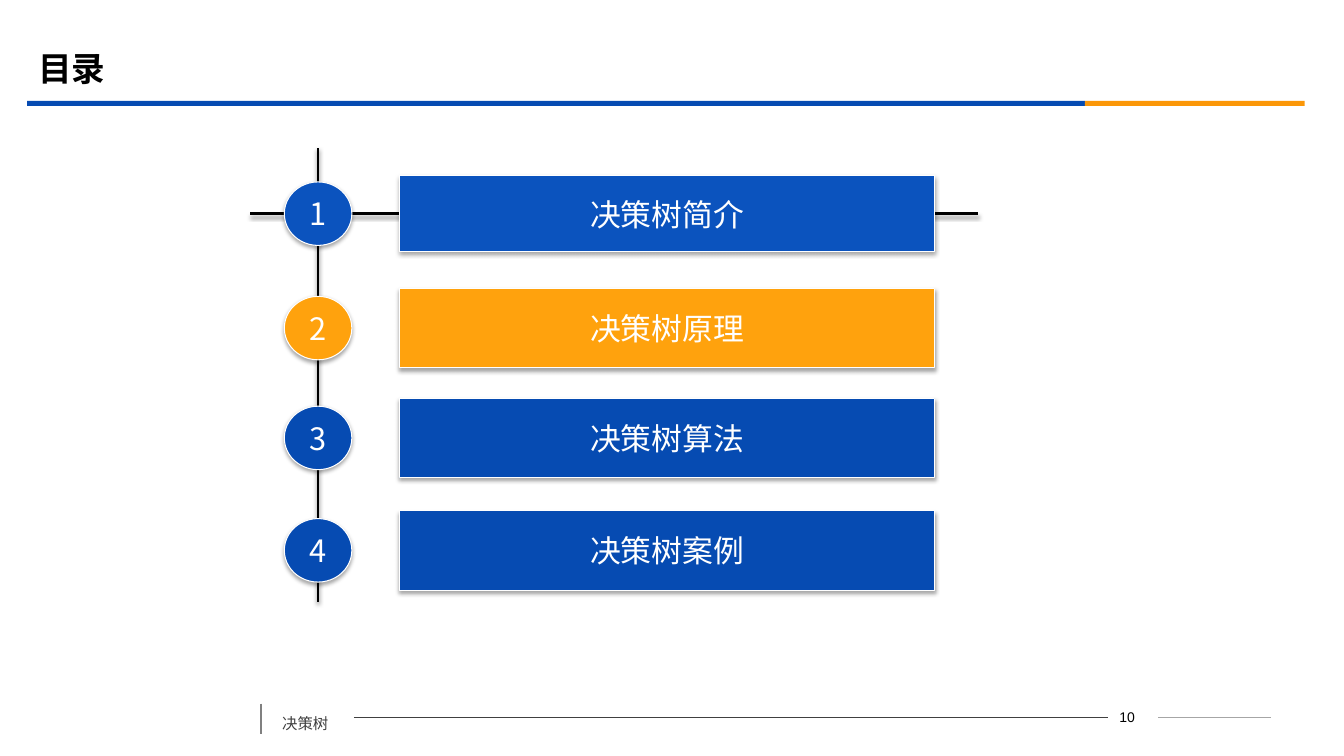
from dataclasses import dataclass

from lxml.etree import SubElement
from pptx import Presentation
from pptx.dml.color import RGBColor
from pptx.enum.shapes import MSO_CONNECTOR, MSO_SHAPE
from pptx.enum.text import MSO_ANCHOR, MSO_AUTO_SIZE, PP_ALIGN
from pptx.oxml.ns import qn
from pptx.util import Inches, Pt


@dataclass(frozen=True)
class Theme:
    blue: str = "064BB2"
    bright_blue: str = "0B53BE"
    orange: str = "FB9708"
    bright_orange: str = "FFA20D"
    black: str = "000000"
    white: str = "FFFFFF"
    dark: str = "404040"
    gray: str = "808080"
    light_gray: str = "A6A6A6"
    cjk: str = "Noto Sans CJK SC"
    title_font: str = "Montserrat"
    number_font: str = "Arial"
    title_size: int = 24
    item_size: int = 22
    footer_size: int = 11
    number_size: int = 10


THEME = Theme()

# label, colour, centre below the top of the agenda, bar height
AGENDA = [
    ("决策树简介", THEME.bright_blue, 0.65, 0.75),
    ("决策树原理", THEME.bright_orange, 1.785, 0.79),
    ("决策树算法", THEME.blue, 2.875, 0.79),
    ("决策树案例", THEME.blue, 3.99, 0.79),
]


def write(sp, text, size, font=THEME.cjk, color=THEME.black, bold=False,
          align=PP_ALIGN.LEFT, anchor=MSO_ANCHOR.MIDDLE, wrap=True):
    tf = sp.text_frame
    tf.word_wrap = wrap
    tf.auto_size = MSO_AUTO_SIZE.NONE
    tf.vertical_anchor = anchor
    p = tf.paragraphs[0]
    p.alignment = align
    r = p.add_run()
    r.text = text
    r.font.size = Pt(size)
    r.font.bold = bold
    r.font.name = font
    r.font.color.rgb = RGBColor.from_string(color)
    SubElement(r.font._element, qn("a:ea"), typeface=THEME.cjk)
    return p


def set_effects(sp, shadow_alpha=None):
    """Replace the theme shadow with a soft one below, or with none."""
    effects = SubElement(sp._element.spPr, qn("a:effectLst"))
    if shadow_alpha:
        shadow = SubElement(effects, qn("a:outerShdw"), blurRad=str(Pt(3.1)),
                            dist=str(Pt(1.7)), dir="5400000", rotWithShape="0")
        color = SubElement(shadow, qn("a:srgbClr"), val=THEME.black)
        SubElement(color, qn("a:alpha"), val=str(shadow_alpha * 1000))


def add_line(s, x1, y1, x2, y2, color, width, shadow_alpha=None):
    line = s.shapes.add_connector(MSO_CONNECTOR.STRAIGHT, Inches(x1), Inches(y1),
                                  Inches(x2), Inches(y2))
    line.line.color.rgb = RGBColor.from_string(color)
    line.line.width = Pt(width)
    set_effects(line, shadow_alpha)


def add_block(s, kind, x, y, w, h, fill, outline=None, shadow_alpha=None):
    sp = s.shapes.add_shape(kind, Inches(x), Inches(y), Inches(w), Inches(h))
    sp.fill.solid()
    sp.fill.fore_color.rgb = RGBColor.from_string(fill)
    if outline:
        sp.line.color.rgb = RGBColor.from_string(outline)
        sp.line.width = Pt(0.75)
    else:
        sp.line.fill.background()
    set_effects(sp, shadow_alpha)
    return sp


def add_header(s, x, y, w):
    title = s.shapes.title
    title.left, title.top = Inches(x + 0.01), Inches(y)
    title.width, title.height = Inches(12), Inches(0.58)
    write(title, "目录", THEME.title_size, font=THEME.title_font, bold=True)
    blue_width = 10.49
    rule_y = y + 0.61
    add_block(s, MSO_SHAPE.RECTANGLE, x, rule_y, blue_width, 0.05, THEME.blue)
    add_block(s, MSO_SHAPE.RECTANGLE, x + blue_width, rule_y, w - blue_width, 0.05,
              THEME.orange)


def add_agenda(s, x, y, w, h):
    """Numbered bars on a vertical axis, with a cross line through the first."""
    axis_x = x + 0.675
    first_y = y + AGENDA[0][2]
    add_line(s, axis_x, y, axis_x, y + h, THEME.black, 2, shadow_alpha=38)
    add_line(s, x, first_y, x + w, first_y, THEME.black, 2, shadow_alpha=38)
    dot_w, dot_h = 0.67, 0.63
    for number, (label, color, centre, bar_h) in enumerate(AGENDA, 1):
        mid = y + centre
        dot = add_block(s, MSO_SHAPE.OVAL, axis_x - dot_w / 2, mid - dot_h / 2,
                        dot_w, dot_h, color, THEME.white, 35)
        bar = add_block(s, MSO_SHAPE.ACTION_BUTTON_CUSTOM, x + 1.48, mid - bar_h / 2,
                        5.31, bar_h, color, THEME.white, 35)
        for sp, text in ((dot, str(number)), (bar, label)):
            write(sp, text, THEME.item_size, color=THEME.white,
                  align=PP_ALIGN.CENTER, wrap=False)


def add_footer(s, x, y, w):
    mid = y + 0.18
    add_line(s, x, y + 0.04, x, y + 0.34, THEME.gray, 1.25)
    add_line(s, x + 0.92, mid, x + 8.4, mid, THEME.dark, 0.75)
    add_line(s, x + 8.9, mid, x + w, mid, THEME.light_gray, 0.75)
    topic = s.shapes.add_textbox(Inches(x + 0.11), Inches(y), Inches(0.8), Inches(0.38))
    p = write(topic, "决策树", THEME.footer_size, color=THEME.dark,
              anchor=MSO_ANCHOR.TOP)
    p.line_spacing = 1.5
    p.space_before = Pt(6)
    number = s.shapes.add_textbox(Inches(x + 8.28), Inches(y + 0.05),
                                  Inches(0.62), Inches(0.25))
    write(number, "10", THEME.number_size, font=THEME.number_font,
          align=PP_ALIGN.CENTER)


def main():
    prs = Presentation()
    prs.slide_width, prs.slide_height = Inches(13.33), Inches(7.5)
    s = prs.slides.add_slide(prs.slide_layouts[5])
    add_header(s, 0.27, 0.39, 12.67)
    add_agenda(s, 2.48, 1.47, 7.22, 4.5)
    add_footer(s, 2.59, 6.94, 10.02)
    prs.save("out.pptx")


if __name__ == "__main__":
    main()
